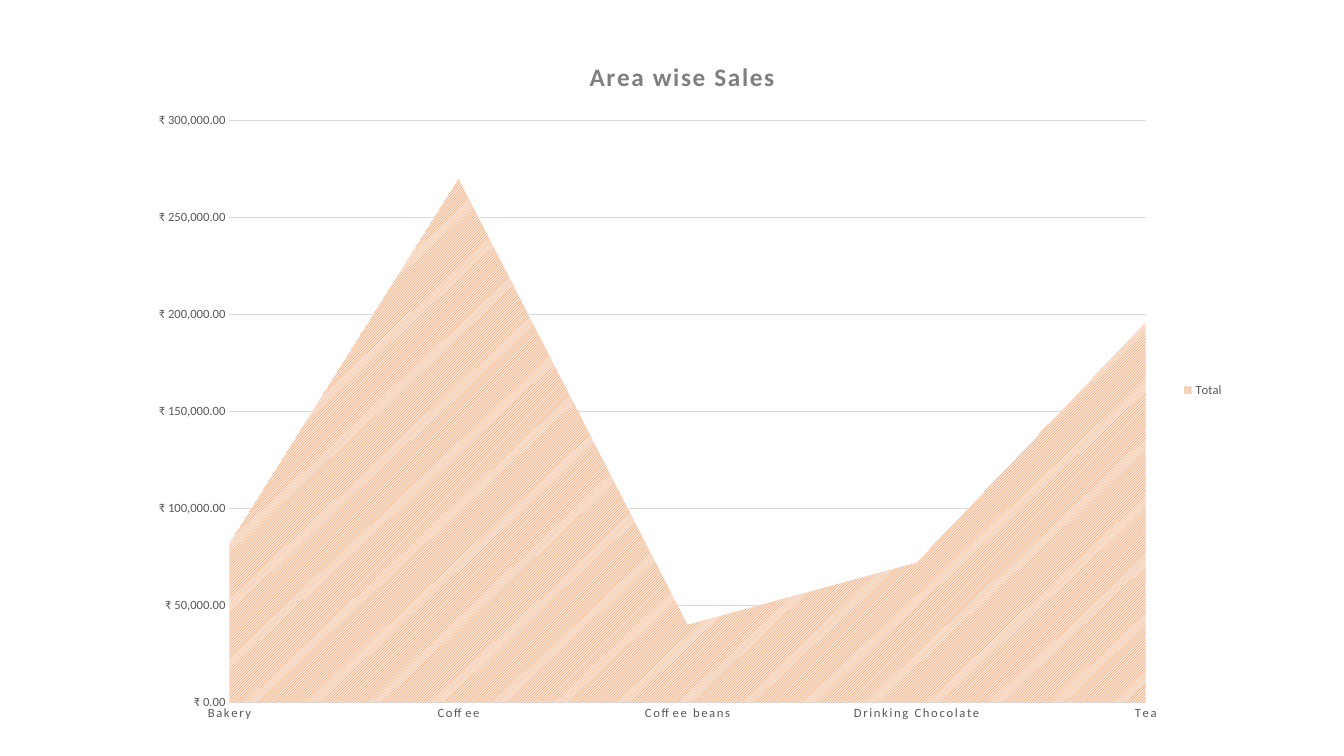
"""Build a slide with an area chart of sales by product."""
from lxml import etree
from pptx import Presentation
from pptx import util as u
from pptx.chart import data
from pptx.dml.color import RGBColor
from pptx.enum import chart as chart_enum
from pptx.enum import dml
from pptx.oxml import ns

ORANGE = RGBColor(0xED, 0x7D, 0x31)
PALE_ORANGE = RGBColor(0xFB, 0xE5, 0xD6)
TITLE_GREY = RGBColor(0x7F, 0x7F, 0x7F)
LABEL_GREY = RGBColor(0x59, 0x59, 0x59)
GRID_GREY = RGBColor(0xD9, 0xD9, 0xD9)

RUPEES = '"₹" #,##0.00'
SALES = {
    "Bakery": 82000,
    "Coffee": 270000,
    "Coffee beans": 40000,
    "Drinking Chocolate": 72000,
    "Tea": 196000,
}
LABEL_FONT = {"name": "Calibri", "size": u.Pt(9), "bold": False}
TITLE_FONT = {"name": "Calibri", "size": u.Pt(18), "bold": True}
PLOT_AREA = {"x": 0.09, "y": 0.12, "w": 0.83, "h": 0.82}
LETTER_SPACING = "120"


def apply_font(font, values, color):
    """Set the given values and colour on a font."""
    for name, value in values.items():
        setattr(font, name, value)
    font.color.rgb = color


def add_title(chart, title):
    """Give the chart a bold, widely spaced title."""
    chart.has_title = True
    chart.chart_title.include_in_layout = False
    run = chart.chart_title.text_frame.paragraphs[0].add_run()
    run.text = title
    apply_font(run.font, TITLE_FONT, TITLE_GREY)
    run.font._element.set("spc", LETTER_SPACING) if hasattr(run.font, "_element") else run._r.get_or_add_rPr().set("spc", LETTER_SPACING)


def style_axes(chart):
    """Style both axes, the gridlines and the tick labels."""
    for axis in (chart.category_axis, chart.value_axis):
        axis.major_tick_mark = chart_enum.XL_TICK_MARK.NONE
        axis.minor_tick_mark = chart_enum.XL_TICK_MARK.NONE
        axis.format.line.fill.background()
        apply_font(axis.tick_labels.font, LABEL_FONT, LABEL_GREY)
    for properties in chart.category_axis._element.xpath(".//a:defRPr"):
        properties.set("spc", LETTER_SPACING)

    value_axis = chart.value_axis
    scale = {"minimum_scale": 0, "maximum_scale": 300000, "major_unit": 50000}
    for name, value in scale.items():
        setattr(value_axis, name, value)
    value_axis.tick_labels.number_format = RUPEES
    value_axis.tick_labels.number_format_is_linked = False
    value_axis.has_major_gridlines = True
    gridline = value_axis.major_gridlines.format.line
    gridline.color.rgb = GRID_GREY
    gridline.width = u.Pt(0.75)
    for crossing in value_axis._element.xpath("c:crossBetween"):
        crossing.set("val", "midCat")


def style_series(series):
    """Fill the area with fine diagonal stripes."""
    fill = series.format.fill
    fill.patterned()
    fill.pattern = dml.MSO_PATTERN.LIGHT_UPWARD_DIAGONAL
    fill.fore_color.rgb = ORANGE
    fill.back_color.rgb = PALE_ORANGE
    series.format.line.fill.background()


def add_legend(chart):
    """Place the legend to the right of the plot."""
    chart.has_legend = True
    chart.legend.position = chart_enum.XL_LEGEND_POSITION.RIGHT
    chart.legend.include_in_layout = False
    apply_font(chart.legend.font, LABEL_FONT, LABEL_GREY)


def place_plot(chart, fractions):
    """Fix the inner plot area as fractions of the chart."""
    plot_area = chart._chartSpace.xpath("c:chart/c:plotArea")[0]
    for layout in plot_area.xpath("c:layout"):
        plot_area.remove(layout)
    layout = etree.Element(ns.qn("c:layout"))
    manual = etree.SubElement(layout, ns.qn("c:manualLayout"))
    settings = {"layoutTarget": "inner", "xMode": "edge", "yMode": "edge", **fractions}
    for name, value in settings.items():
        etree.SubElement(manual, ns.qn(f"c:{name}")).set("val", str(value))
    plot_area.insert(0, layout)


def add_sales_chart(slide, left, top, width, height):
    """Add the sales chart inside the given box."""
    chart_data = data.CategoryChartData(number_format=RUPEES)
    chart_data.categories = list(SALES)
    chart_data.add_series("Total", list(SALES.values()))
    chart = slide.shapes.add_chart(
        chart_enum.XL_CHART_TYPE.AREA, left, top, width, height, chart_data
    ).chart
    chart.font.name = "Calibri"
    chart.font.size = u.Pt(10)
    chart.plots[0].vary_by_categories = False
    add_title(chart, "Area wise Sales")
    style_axes(chart)
    style_series(chart.plots[0].series[0])
    add_legend(chart)
    place_plot(chart, PLOT_AREA)


def main():
    """Create and save the presentation."""
    presentation = Presentation()
    presentation.slide_width = u.Inches(13.33)
    presentation.slide_height = u.Inches(7.5)
    slide = presentation.slides.add_slide(presentation.slide_layouts[6])
    box = [u.Inches(length) for length in (1.29, 0.35, 10.95, 7.04)]
    add_sales_chart(slide, *box)
    presentation.save("out.pptx")


if __name__ == "__main__":
    main()
